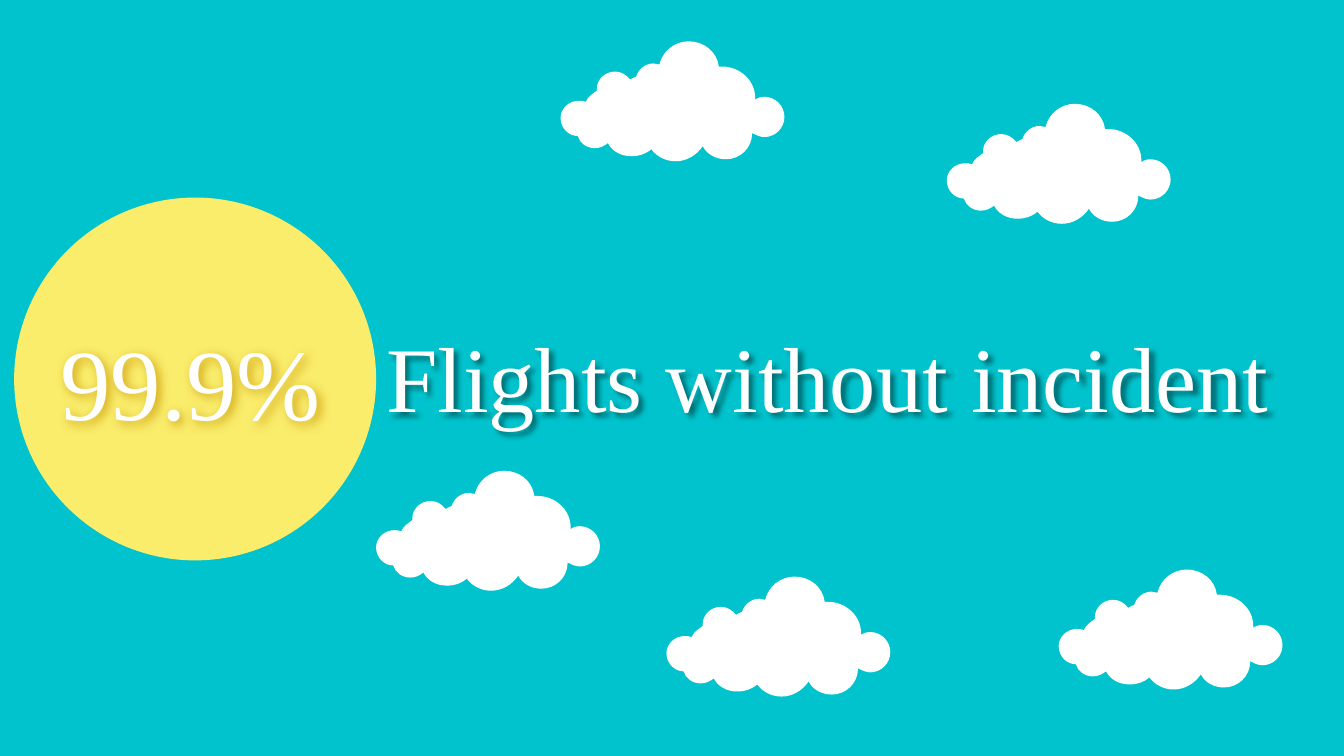
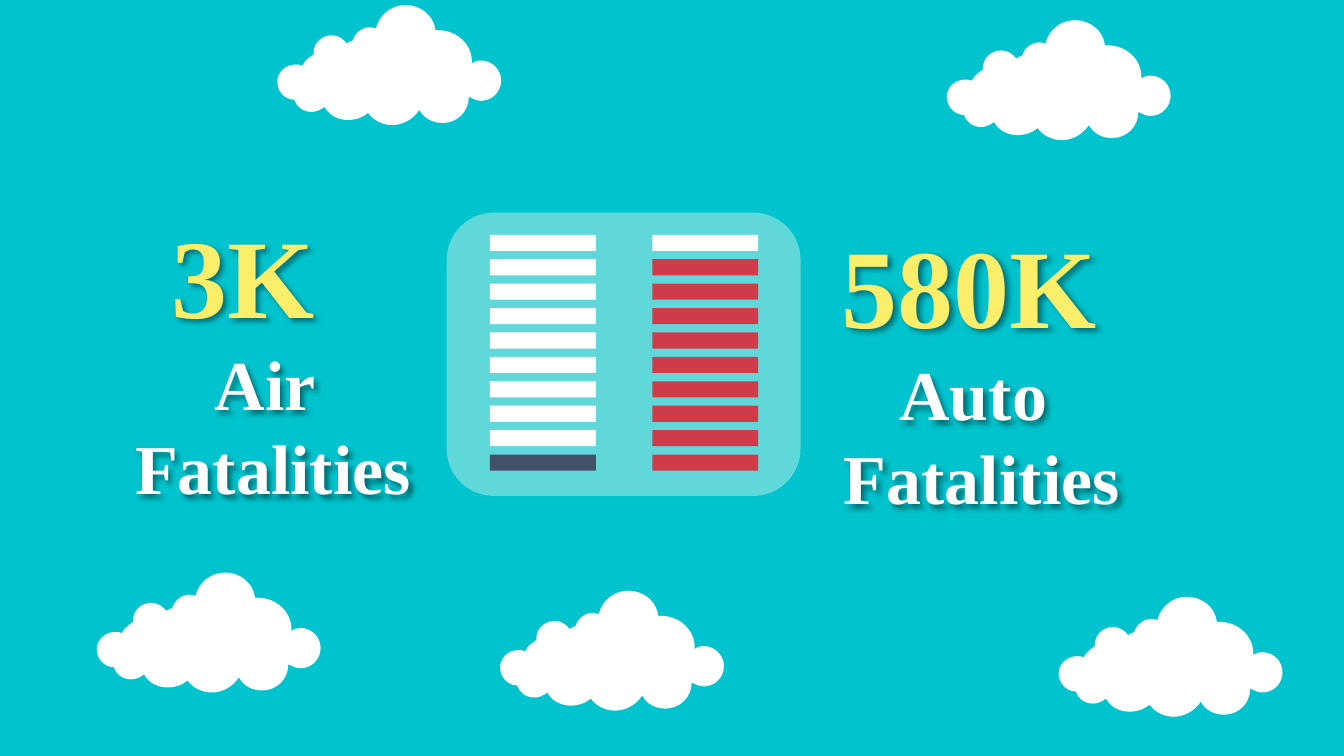
from lxml import etree
from pptx import Presentation
from pptx.dml.color import RGBColor
from pptx.enum import shapes, text
from pptx.oxml.ns import qn
from pptx.util import Inches, Pt

COLORS = {"sky": "00C3CD", "white": "FFFFFF", "sun": "FAED6B", "number": "FAEE6B",
          "panel": "60D8DA", "navy": "445269", "red": "D03B49",
          "shade": "000000", "gold": "C89600"}
SERIF, MONO = "Times New Roman", "Noto Sans Mono"
CLOUD_CURVES = [
    (199, 55, 195, 56, 193, 58), (193, 57, 193, 57, 193, 56),
    (193, 39, 178, 25, 160, 25), (159, 25, 158, 25, 157, 25),
    (155, 10, 142, 0, 127, 0), (113, 0, 101, 10, 98, 23),
    (96, 23, 94, 22, 92, 22), (84, 22, 77, 28, 75, 35),
    (73, 36, 70, 37, 69, 38), (65, 33, 60, 30, 54, 30),
    (44, 30, 36, 38, 36, 47), (36, 48, 36, 49, 36, 49),
    (32, 52, 27, 55, 25, 60), (23, 59, 20, 59, 18, 59),
    (8, 59, 0, 67, 0, 76), (0, 86, 8, 94, 17, 94),
    (19, 101, 26, 106, 34, 106), (39, 106, 43, 104, 47, 101),
    (51, 109, 60, 114, 70, 114), (78, 114, 84, 112, 90, 107),
    (95, 114, 104, 119, 114, 119), (125, 119, 135, 113, 141, 104),
    (145, 112, 154, 117, 164, 117), (178, 117, 190, 106, 190, 91),
    (194, 93, 198, 95, 202, 95), (213, 95, 222, 86, 222, 75),
    (222, 64, 213, 55, 202, 55)]


def color(name):
    """Return the named colour."""
    return RGBColor.from_string(COLORS[name])


def paint(shape, fill):
    """Give a shape a plain fill without line or shadow."""
    shape.shadow.inherit = False
    shape.fill.solid()
    shape.fill.fore_color.rgb = color(fill)
    shape.line.fill.background()


def add_block(page, kind, area, fill):
    """Add a plain preset shape."""
    paint(page.shapes.add_shape(kind, *map(Inches, area)), fill)


def round_outline(shape, curves):
    """Turn the straight segments of a freeform into cubic curves."""
    segments = list(shape._element.iter(qn("a:lnTo")))
    for segment, curve in zip(segments, curves):
        bend = etree.Element(qn("a:cubicBezTo"))
        for x, y in zip(curve[::2], curve[1::2]):
            etree.SubElement(bend, qn("a:pt"), x=str(x), y=str(y))
        segment.getparent().replace(segment, bend)


def add_clouds(page, places):
    """Add a white cloud at each left and top."""
    points = [curve[4:] for curve in CLOUD_CURVES]
    for left, top in places:
        builder = page.shapes.build_freeform(*points[-1], scale=Inches(1) / 100)
        builder.add_line_segments(points, close=True)
        cloud = builder.convert_to_shape(Inches(left), Inches(top))
        round_outline(cloud, CLOUD_CURVES)
        paint(cloud, "white")


def add_shadow(shape, shade, blur, distance, strength):
    """Cast a soft shadow, measured in points, from the text of a shape."""
    effects = etree.SubElement(shape._element.spPr, qn("a:effectLst"))
    shadow = etree.SubElement(effects, qn("a:outerShdw"), blurRad=str(Pt(blur)),
                              dist=str(Pt(distance)), dir="2700000", algn="tl", rotWithShape="0")
    tint = etree.SubElement(shadow, qn("a:srgbClr"), val=COLORS[shade])
    etree.SubElement(tint, qn("a:alpha"), val=str(strength * 1000))


def add_span(para, words, size, fill="white", bold=False, font=SERIF):
    """Add one formatted run."""
    span = para.add_run()
    span.text = words
    span.font.name, span.font.size, span.font.bold = font, Pt(size), bold
    span.font.color.rgb = color(fill)


def prepare_text(box, area, align):
    """Place a text shape and return its first paragraph."""
    box.left, box.top, box.width, box.height = map(Inches, area)
    frame = box.text_frame
    frame.word_wrap = True
    frame.auto_size = text.MSO_AUTO_SIZE.NONE
    frame.vertical_anchor = text.MSO_ANCHOR.TOP
    para = frame.paragraphs[0]
    para.alignment = align
    return para


def add_text_box(page, area, align=text.PP_ALIGN.LEFT):
    """Add a text box and return it with its first paragraph."""
    box = page.shapes.add_textbox(0, 0, 0, 0)
    return box, prepare_text(box, area, align)


def add_count(page, area, number, labels, space_font):
    """Add a large number above its label lines."""
    box, para = add_text_box(page, area, text.PP_ALIGN.CENTER)
    add_span(para, number, 80, "number", True)
    add_span(para, " ", 72, font=space_font)
    for label in labels:
        para = box.text_frame.add_paragraph()
        para.alignment = text.PP_ALIGN.CENTER
        para.line_spacing = Pt(60)
        add_span(para, label, 50, bold=True)
    add_shadow(box, "shade", 4, 3, 43)


def add_bars(page, left, fills):
    """Stack equal bars from top to bottom."""
    top, last = 2.33, 4.51
    step = (last - top) / (len(fills) - 1)
    for index, fill in enumerate(fills):
        add_block(page, shapes.MSO_SHAPE.RECTANGLE, (left, top + index * step, 1.05, 0.16), fill)


def build_safety(deck):
    """Build the slide on flights without incident."""
    page = deck.slides.add_slide(deck.slide_layouts[5])
    title = page.shapes.title
    para = prepare_text(title, (3.73, 3.13, 9.3, 1.25), text.PP_ALIGN.LEFT)
    add_span(para, "Flights without incident", 66)
    add_shadow(title, "shade", 4, 3, 43)
    add_block(page, shapes.MSO_SHAPE.OVAL, (0.14, 1.96, 3.59, 3.6), "sun")
    add_clouds(page, [(5.56, 0.41), (9.39, 1.03), (6.61, 5.72), (10.5, 5.65), (3.73, 4.67)])
    box, para = add_text_box(page, (0.5, 3.12, 3.59, 1.31))
    add_span(para, "99.9%", 72)
    add_shadow(box, "gold", 8, 3, 80)


def build_fatalities(deck):
    """Build the slide comparing air and auto fatalities."""
    page = deck.slides.add_slide(deck.slide_layouts[6])
    add_clouds(page, [(2.75, 0.05), (9.39, 0.2), (4.96, 5.86), (10.5, 5.92), (0.96, 5.68)])
    add_block(page, shapes.MSO_SHAPE.ROUNDED_RECTANGLE, (4.43, 2.11, 3.51, 2.81), "panel")
    add_count(page, (7.43, 2.1, 4.62, 3.13), "580K", ["Auto ", "Fatalities"], SERIF)
    add_count(page, (0.74, 2.0, 3.94, 3.13), "3K", ["Air ", "Fatalities"], MONO)
    add_bars(page, 4.86, ["white"] * 9 + ["navy"])
    add_bars(page, 6.47, ["white"] + ["red"] * 9)


def main():
    """Build and save the deck."""
    deck = Presentation()
    deck.slide_width, deck.slide_height = Inches(13.33), Inches(7.5)
    backdrop = deck.slide_master.background.fill
    backdrop.solid()
    backdrop.fore_color.rgb = color("sky")
    build_safety(deck)
    build_fatalities(deck)
    deck.save("out.pptx")


if __name__ == "__main__":
    main()
